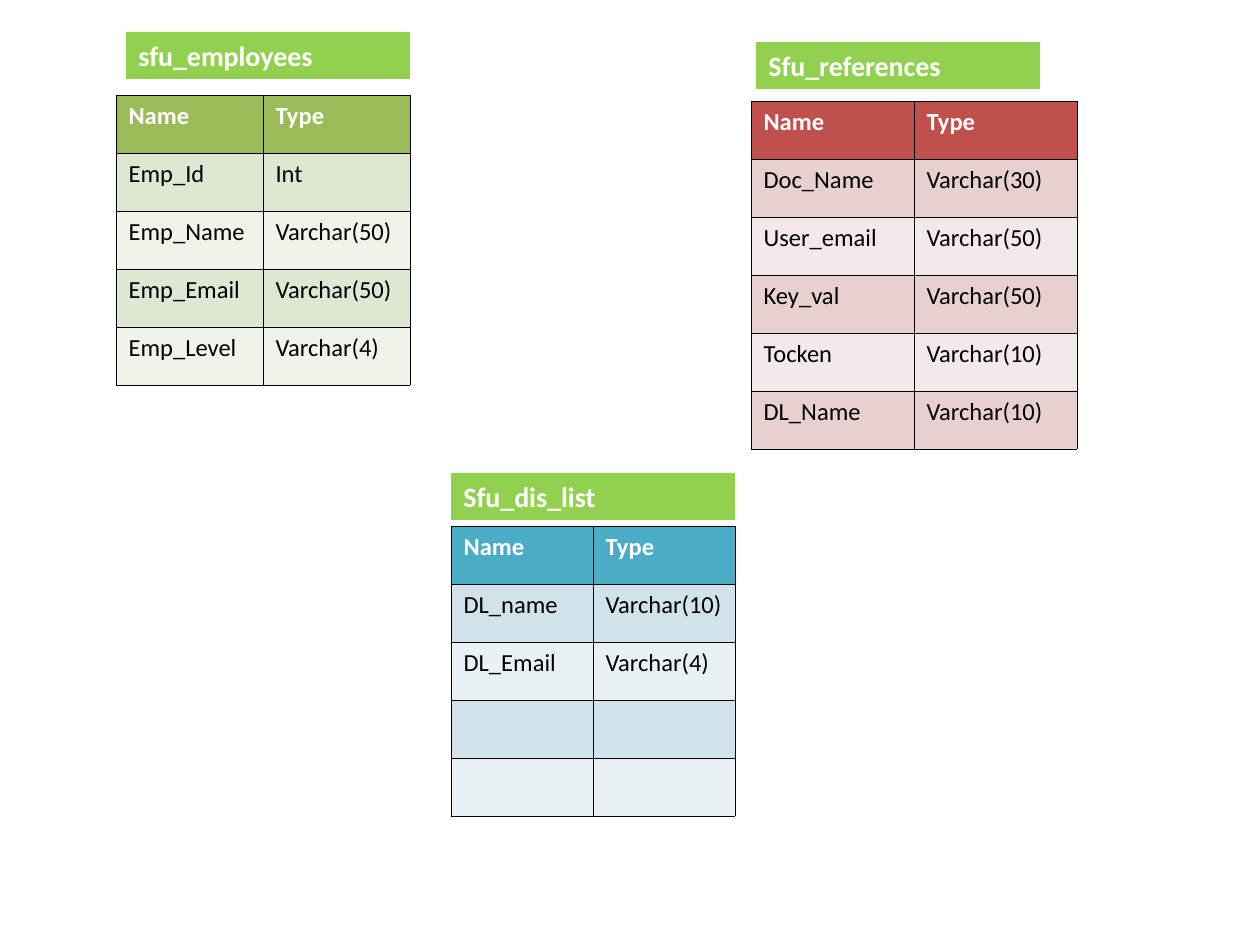
import pptx
import pptx.dml.color
import pptx.enum.shapes
import pptx.enum.text
import pptx.oxml
import pptx.oxml.ns
import pptx.util

PX = 914400 / 126
LABEL_WIDTH, LABEL_HEIGHT, ROW_HEIGHT = 284, 47, 58
COLORS = {
    "label": "92D050", "white": "FFFFFF", "black": "000000",
    "green": ("9BBB59", "DEE7D1", "EFF3EA"),
    "blue": ("4BACC6", "D0E3EA", "E9F1F5"),
    "red": ("C0504D", "E8D0D0", "F4E9E9"),
}
LABEL_FONT = {"name": "Calibri", "size": pptx.util.Pt(16), "bold": True}
HEADER_FONT = {"name": "Calibri", "size": pptx.util.Pt(14), "bold": True}
FIELD_FONT = {**HEADER_FONT, "bold": False}
ENTITIES = [
    {"title": "sfu_employees", "box": (116, 32, 294), "label_dx": 10, "table_dy": 63,
     "palette": "green",
     "fields": [("Emp_Id", "Int"), ("Emp_Name", "Varchar(50)"),
                ("Emp_Email", "Varchar(50)"), ("Emp_Level", "Varchar(4)")]},
    {"title": "Sfu_dis_list", "box": (451, 473, 284), "label_dx": 0, "table_dy": 53,
     "palette": "blue",
     "fields": [("DL_name", "Varchar(10)"), ("DL_Email", "Varchar(4)"),
                ("", ""), ("", "")]},
    {"title": "Sfu_references", "box": (751, 42, 326), "label_dx": 5, "table_dy": 59,
     "palette": "red",
     "fields": [("Doc_Name", "Varchar(30)"), ("User_email", "Varchar(50)"),
                ("Key_val", "Varchar(50)"), ("Tocken", "Varchar(10)"),
                ("DL_Name", "Varchar(10)")]},
]


def emu(*lengths):
    """Turn px lengths into EMU."""
    return [round(length * PX) for length in lengths]


def paint(fill, color):
    """Give a fill one solid colour."""
    fill.solid()
    fill.fore_color.rgb = pptx.dml.color.RGBColor.from_string(color)


def write(frame, text, font_values, color):
    """Write one formatted paragraph into a text frame."""
    paragraph = frame.paragraphs[0]
    paragraph.alignment = pptx.enum.text.PP_ALIGN.LEFT
    run = paragraph.add_run()
    run.text = text
    for attribute, value in font_values.items():
        setattr(run.font, attribute, value)
    run.font.color.rgb = pptx.dml.color.RGBColor.from_string(color)


def add_borders(cell):
    """Draw thin black lines on the four sides of a cell."""
    properties = cell._tc.get_or_add_tcPr()
    for position, side in enumerate(("lnL", "lnR", "lnT", "lnB")):
        properties.insert(position, pptx.oxml.parse_xml(
            f'<a:{side} {pptx.oxml.ns.nsdecls("a")} w="6350"><a:solidFill>'
            f'<a:srgbClr val="{COLORS["black"]}"/></a:solidFill></a:{side}>'))


def add_label(slide, left, top, title):
    """Place the green title bar of an entity."""
    label = slide.shapes.add_shape(
        pptx.enum.shapes.MSO_SHAPE.RECTANGLE, *emu(left, top, LABEL_WIDTH, LABEL_HEIGHT))
    label.shadow.inherit = False
    paint(label.fill, COLORS["label"])
    label.line.fill.background()
    frame_values = {"word_wrap": True,
                    "vertical_anchor": pptx.enum.text.MSO_ANCHOR.TOP,
                    "auto_size": pptx.enum.text.MSO_AUTO_SIZE.SHAPE_TO_FIT_TEXT}
    for attribute, value in frame_values.items():
        setattr(label.text_frame, attribute, value)
    write(label.text_frame, title, LABEL_FONT, COLORS["white"])


def add_fields(slide, left, top, width, fields, palette):
    """Place the table of field names and types."""
    rows = [("Name", "Type"), *fields]
    table = slide.shapes.add_table(
        len(rows), 2, *emu(left, top, width, ROW_HEIGHT * len(rows))).table
    header_fill, *band_fills = COLORS[palette]
    for row_index, row in enumerate(rows):
        is_header = row_index == 0
        fill = header_fill if is_header else band_fills[(row_index - 1) % 2]
        font = HEADER_FONT if is_header else FIELD_FONT
        color = COLORS["white" if is_header else "black"]
        for column_index, text in enumerate(row):
            cell = table.cell(row_index, column_index)
            paint(cell.fill, fill)
            add_borders(cell)
            if text:
                write(cell.text_frame, text, font, color)


def add_entity(slide, title, box, label_dx, table_dy, palette, fields):
    """Place a title bar and its field table inside a box."""
    left, top, width = box
    add_fields(slide, left, top + table_dy, width, fields, palette)
    add_label(slide, left + label_dx, top, title)


def main():
    """Build the schema slide and save it."""
    presentation = pptx.Presentation()
    presentation.slide_width, presentation.slide_height = emu(1260, 945)
    slide = presentation.slides.add_slide(presentation.slide_layouts[6])
    for entity in ENTITIES:
        add_entity(slide, **entity)
    presentation.save("out.pptx")


if __name__ == "__main__":
    main()
